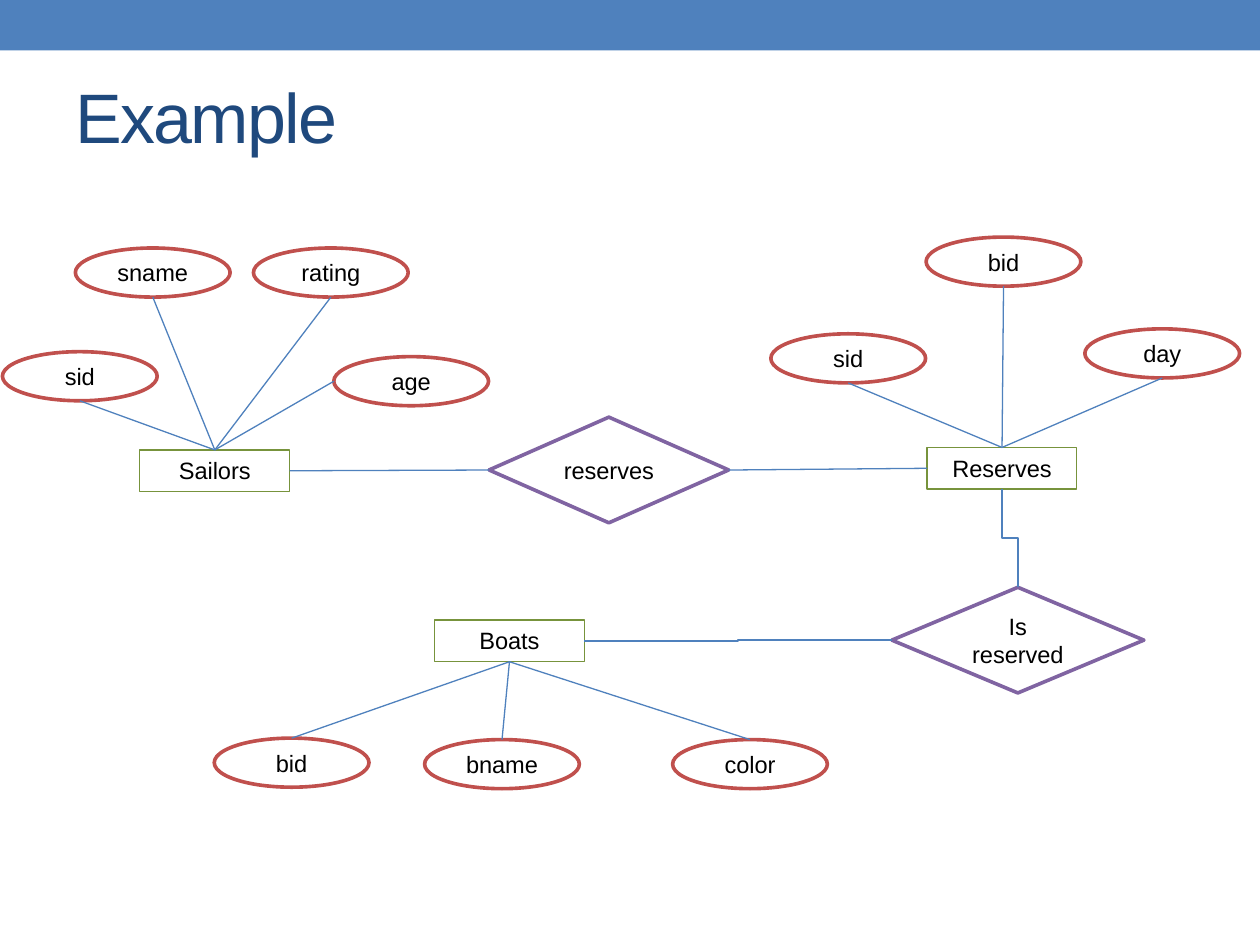
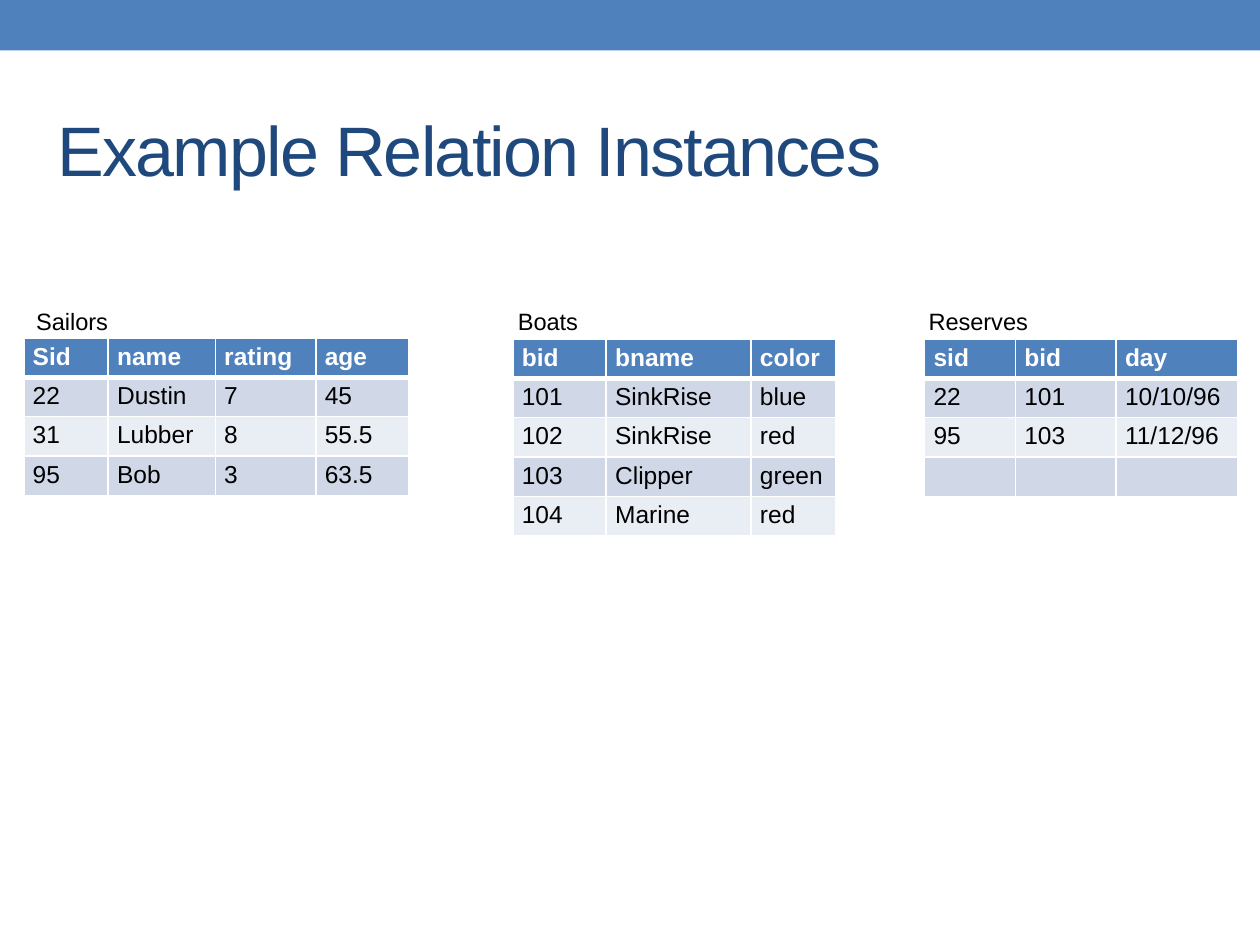
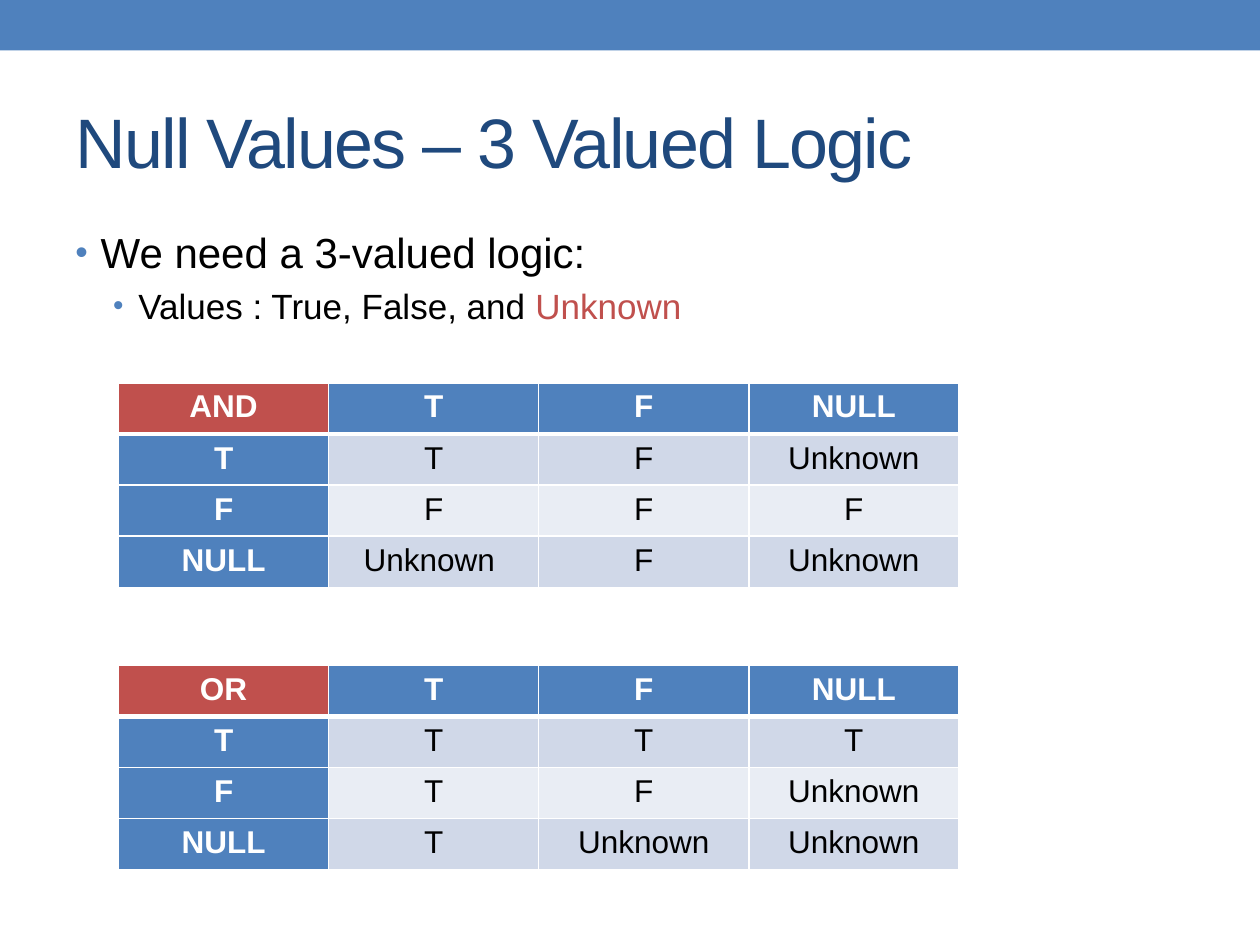
from dataclasses import dataclass

from lxml import etree
from pptx import Presentation
from pptx.dml.color import RGBColor
from pptx.enum.shapes import MSO_CONNECTOR, MSO_SHAPE
from pptx.enum.text import MSO_ANCHOR, MSO_AUTO_SIZE, PP_ALIGN
from pptx.oxml.ns import qn
from pptx.shapes.autoshape import Shape
from pptx.slide import Slide
from pptx.util import Cm, Pt

RECTANGLE, OVAL, DIAMOND = MSO_SHAPE.RECTANGLE, MSO_SHAPE.OVAL, MSO_SHAPE.DIAMOND
STRAIGHT, ELBOW = MSO_CONNECTOR.STRAIGHT, MSO_CONNECTOR.ELBOW
LEFT, CENTER = PP_ALIGN.LEFT, PP_ALIGN.CENTER
MIDDLE, ANCHOR_TOP = MSO_ANCHOR.MIDDLE, MSO_ANCHOR.TOP
FIT_SHAPE = MSO_AUTO_SIZE.SHAPE_TO_FIT_TEXT
TOP_SIDE, LEFT_SIDE, BOTTOM_SIDE, RIGHT_SIDE = range(4)

FONT = "Arial"
COLORS = {
    "blue": "4F81BD",
    "navy": "1F497D",
    "red": "C0504D",
    "green": "77933C",
    "purple": "8064A2",
    "odd_row": "D0D8E8",
    "even_row": "E9EDF4",
    "black": "000000",
    "white": "FFFFFF",
}
SLIDE_WIDTH, SLIDE_HEIGHT, BAND_HEIGHT = 25.4, 19.05, 1.02
TITLE_WIDTH = 22.86
LABEL_SIZE = 13.5


@dataclass(frozen=True)
class NodeKind:
    preset: int
    width: float
    height: float
    color: str
    line_width: float
    anchor: int


ENTITY = NodeKind(RECTANGLE, 3.02, 0.84, "green", 0.75, ANCHOR_TOP)
ATTRIBUTE = NodeKind(OVAL, 3.12, 0.99, "red", 2.08, MIDDLE)
RELATION = NodeKind(DIAMOND, 4.83, 2.13, "purple", 2.08, MIDDLE)
WIDE_RELATION = NodeKind(DIAMOND, 5.08, 2.13, "purple", 2.08, MIDDLE)


@dataclass(frozen=True)
class Node:
    key: str
    text: str
    kind: NodeKind
    left: float
    top: float


@dataclass(frozen=True)
class Link:
    start: str
    start_side: int
    end: str
    end_side: int
    bent: bool = False


@dataclass(frozen=True)
class Grid:
    left: float
    top: float
    columns: list[float]
    row_height: float
    rows: list[list[str]]
    size: float
    align: int = LEFT
    margins: tuple[float, float] = (0.25, 0.13)
    row_headers: bool = False


@dataclass(frozen=True)
class Relation:
    name: str
    label_left: float
    label_width: float
    grid: Grid


NODES = [
    Node("sailors", "Sailors", ENTITY, 2.82, 9.07),
    Node("reserves", "Reserves", ENTITY, 18.69, 9.02),
    Node("boats", "Boats", ENTITY, 8.76, 12.5),
    Node("sailor name", "sname", ATTRIBUTE, 1.52, 5),
    Node("sailor rating", "rating", ATTRIBUTE, 5.11, 5),
    Node("sailor id", "sid", ATTRIBUTE, 0.05, 7.09),
    Node("sailor age", "age", ATTRIBUTE, 6.73, 7.19),
    Node("boat color", "color", ATTRIBUTE, 13.56, 14.91),
    Node("reserved boat", "bid", ATTRIBUTE, 18.67, 4.78),
    Node("reserved day", "day", ATTRIBUTE, 21.87, 6.63),
    Node("boat id", "bid", ATTRIBUTE, 4.32, 14.88),
    Node("boat name", "bname", ATTRIBUTE, 8.56, 14.91),
    Node("reserving sailor", "sid", ATTRIBUTE, 15.54, 6.73),
    Node("sailor reserves", "reserves", RELATION, 9.86, 8.41),
    Node("is reserved", "Is reserved", WIDE_RELATION, 17.98, 11.84),
]

LINKS = [
    Link("sailor id", BOTTOM_SIDE, "sailors", TOP_SIDE),
    Link("sailor name", BOTTOM_SIDE, "sailors", TOP_SIDE),
    Link("sailor rating", BOTTOM_SIDE, "sailors", TOP_SIDE),
    Link("sailor age", LEFT_SIDE, "sailors", TOP_SIDE),
    Link("boats", BOTTOM_SIDE, "boat id", TOP_SIDE),
    Link("boats", BOTTOM_SIDE, "boat name", TOP_SIDE),
    Link("boats", BOTTOM_SIDE, "boat color", TOP_SIDE),
    Link("reserving sailor", BOTTOM_SIDE, "reserves", TOP_SIDE),
    Link("reserved boat", BOTTOM_SIDE, "reserves", TOP_SIDE),
    Link("reserved day", BOTTOM_SIDE, "reserves", TOP_SIDE),
    Link("sailors", RIGHT_SIDE, "sailor reserves", LEFT_SIDE),
    Link("sailor reserves", RIGHT_SIDE, "reserves", LEFT_SIDE),
    Link("boats", RIGHT_SIDE, "is reserved", LEFT_SIDE, bent=True),
    Link("is reserved", TOP_SIDE, "reserves", BOTTOM_SIDE, bent=True),
]


def instance_grid(left: float, top: float, columns: list[float], rows: list[list[str]]) -> Grid:
    return Grid(left, top, columns, 0.78, rows, 14, margins=(0.18, 0.1))


def logic_grid(top: float, rows: list[list[str]]) -> Grid:
    return Grid(2.39, top, [4.235] * 4, 1.03, rows, 18, CENTER, row_headers=True)


RELATIONS = [
    Relation("Sailors", 0.48, 1.98, instance_grid(0.48, 6.81, [1.7, 2.16, 2.03, 1.88], [
        ["Sid", "name", "rating", "age"],
        ["22", "Dustin", "7", "45"],
        ["31", "Lubber", "8", "55.5"],
        ["95", "Bob", "3", "63.5"],
    ])),
    Relation("Reserves", 18.47, 2.54, instance_grid(18.64, 6.83, [1.83, 2.03, 2.45], [
        ["sid", "bid", "day"],
        ["22", "101", "10/10/96"],
        ["95", "103", "11/12/96"],
        ["", "", ""],
    ])),
    Relation("Boats", 10.19, 1.75, instance_grid(10.34, 6.83, [1.88, 2.92, 1.7], [
        ["bid", "bname", "color"],
        ["101", "SinkRise", "blue"],
        ["102", "SinkRise", "red"],
        ["103", "Clipper", "green"],
        ["104", "Marine", "red"],
    ])),
]

TRUTH_TABLES = [
    logic_grid(7.72, [
        ["AND", "T", "F", "NULL"],
        ["T", "T", "F", "Unknown"],
        ["F", "F", "F", "F"],
        ["NULL", "Unknown ", "F", "Unknown"],
    ]),
    logic_grid(13.41, [
        ["OR", "T", "F", "NULL"],
        ["T", "T", "T", "T"],
        ["F", "T", "F", "Unknown"],
        ["NULL", "T", "Unknown", "Unknown"],
    ]),
]


def rgb(color: str) -> RGBColor:
    return RGBColor.from_string(COLORS[color])


def style_runs(paragraph, size: float, color: str = "black", bold: bool = False) -> None:
    for run in paragraph.runs:
        run.font.name = FONT
        run.font.size = Pt(size)
        run.font.bold = bold
        run.font.color.rgb = rgb(color)


def add_text(slide: Slide, text: str, left: float, top: float, width: float, height: float,
             size: float, color: str = "black", wrap: bool = True) -> Shape:
    box = slide.shapes.add_textbox(Cm(left), Cm(top), Cm(width), Cm(height))
    box.text_frame.text = text
    box.text_frame.word_wrap = wrap
    for paragraph in box.text_frame.paragraphs:
        style_runs(paragraph, size, color)
    return box


def add_titled_slide(deck, title: str, left: float, top: float, height: float) -> Slide:
    slide = deck.slides.add_slide(deck.slide_layouts[6])
    band = slide.shapes.add_shape(RECTANGLE, 0, 0, Cm(SLIDE_WIDTH), Cm(BAND_HEIGHT))
    band.shadow.inherit = False
    band.fill.solid()
    band.fill.fore_color.rgb = rgb("blue")
    band.line.fill.background()
    heading = add_text(slide, title, left, top, TITLE_WIDTH, height, 40, "navy")
    heading.text_frame.vertical_anchor = MIDDLE
    for run in heading.text_frame.paragraphs[0].runs:
        run._r.get_or_add_rPr().set("spc", "-100")
    return slide


def add_node(slide: Slide, node: Node) -> Shape:
    kind = node.kind
    shape = slide.shapes.add_shape(
        kind.preset, Cm(node.left), Cm(node.top), Cm(kind.width), Cm(kind.height))
    shape.shadow.inherit = False
    shape.fill.background()
    shape.line.color.rgb = rgb(kind.color)
    shape.line.width = Pt(kind.line_width)
    shape.text_frame.text = node.text
    shape.text_frame.word_wrap = True
    shape.text_frame.vertical_anchor = kind.anchor
    paragraph = shape.text_frame.paragraphs[0]
    paragraph.alignment = CENTER
    style_runs(paragraph, LABEL_SIZE)
    return shape


def side_middle(shape: Shape, side: int) -> tuple[int, int]:
    x_share, y_share = {TOP_SIDE: (1, 0), LEFT_SIDE: (0, 1),
                        BOTTOM_SIDE: (1, 2), RIGHT_SIDE: (2, 1)}[side]
    return shape.left + shape.width * x_share // 2, shape.top + shape.height * y_share // 2


def add_link(slide: Slide, link: Link, shapes: dict[str, Shape]) -> None:
    start, end = shapes[link.start], shapes[link.end]
    x1, y1 = side_middle(start, link.start_side)
    x2, y2 = side_middle(end, link.end_side)
    upright = link.bent and link.start_side == TOP_SIDE
    if upright:
        middle_x, middle_y = (x1 + x2) // 2, (y1 + y2) // 2
        half_run, half_rise = (y1 - y2) // 2, (x1 - x2) // 2
        x1, y1 = middle_x - half_run, middle_y + half_rise
        x2, y2 = middle_x + half_run, middle_y - half_rise
    connector = slide.shapes.add_connector(ELBOW if link.bent else STRAIGHT, x1, y1, x2, y2)
    connector.line.color.rgb = rgb("blue")
    connector.line.width = Pt(0.75)
    properties = connector._element.spPr
    etree.SubElement(properties, qn("a:effectLst"))
    if upright:
        properties.find(qn("a:xfrm")).set("rot", str(270 * 60000))
    if not link.bent:
        if start.auto_shape_type != OVAL:
            connector.begin_connect(start, link.start_side)
        if end.auto_shape_type != OVAL:
            connector.end_connect(end, link.end_side)


def add_borders(cell, row: int) -> None:
    properties = cell._tc.get_or_add_tcPr()
    widths = {"lnL": 1, "lnR": 1, "lnT": 3 if row == 1 else 1, "lnB": 3 if row == 0 else 1}
    for edge, width in widths.items():
        line = etree.SubElement(properties, qn(f"a:{edge}"), w=str(Pt(width)))
        fill = etree.SubElement(line, qn("a:solidFill"))
        etree.SubElement(fill, qn("a:srgbClr"), val=COLORS["white"])


def cell_fill(grid: Grid, row: int, column: int) -> str:
    if grid.row_headers and row == column == 0:
        return "red"
    if row == 0 or (grid.row_headers and column == 0):
        return "blue"
    return "odd_row" if row % 2 else "even_row"


def add_grid(slide: Slide, grid: Grid) -> None:
    table = slide.shapes.add_table(
        len(grid.rows), len(grid.columns), Cm(grid.left), Cm(grid.top),
        Cm(sum(grid.columns)), Cm(grid.row_height * len(grid.rows))).table
    for column, width in zip(table.columns, grid.columns):
        column.width = Cm(width)
    for row, texts in enumerate(grid.rows):
        table.rows[row].height = Cm(grid.row_height)
        for column, text in enumerate(texts):
            cell = table.cell(row, column)
            cell.margin_left = cell.margin_right = Cm(grid.margins[0])
            cell.margin_top = cell.margin_bottom = Cm(grid.margins[1])
            add_borders(cell, row)
            fill = cell_fill(grid, row, column)
            cell.fill.solid()
            cell.fill.fore_color.rgb = rgb(fill)
            cell.text_frame.text = text
            paragraph = cell.text_frame.paragraphs[0]
            paragraph.alignment = grid.align
            header = fill in ("red", "blue")
            style_runs(paragraph, grid.size, "white" if header else "black", header)
            if not text:
                etree.SubElement(paragraph._p, qn("a:endParaRPr"), sz=str(grid.size * 100))


def add_bullet(paragraph, indent: float, size: float) -> None:
    paragraph.space_before = Pt(size * 0.2)
    properties = paragraph._p.get_or_add_pPr()
    properties.set("marL", str(Cm(indent)))
    properties.set("indent", str(Cm(-0.51)))
    color = etree.SubElement(properties, qn("a:buClr"))
    etree.SubElement(color, qn("a:srgbClr"), val=COLORS["blue"])
    etree.SubElement(properties, qn("a:buSzPct"), val="85000")
    etree.SubElement(properties, qn("a:buFont"), typeface=FONT)
    etree.SubElement(properties, qn("a:buChar"), char="•")


def build_diagram(deck) -> None:
    slide = add_titled_slide(deck, "Example", 1.27, 1.3, 2.06)
    shapes = {node.key: add_node(slide, node) for node in NODES}
    for link in LINKS:
        add_link(slide, link, shapes)


def build_instances(deck) -> None:
    slide = add_titled_slide(deck, "Example Relation Instances", 0.91, 1.96, 2.06)
    for relation in RELATIONS:
        add_grid(slide, relation.grid)
        label = add_text(slide, relation.name, relation.label_left, 6.07,
                         relation.label_width, 0.84, LABEL_SIZE, wrap=False)
        label.text_frame.auto_size = FIT_SHAPE


def build_logic(deck) -> None:
    slide = add_titled_slide(deck, "Null Values – 3 Valued Logic", 1.27, 1.47, 2.74)
    body = add_text(slide, "We need a 3-valued logic:", 1.27, 4.45, TITLE_WIDTH, 13.54, 24)
    need = body.text_frame.paragraphs[0]
    add_bullet(need, 0.51, 24)
    values = body.text_frame.add_paragraph()
    values.text = "Values : True, False, and "
    values.level = 1
    unknown = values.add_run()
    unknown.text = "Unknown"
    style_runs(values, 20)
    unknown.font.color.rgb = rgb("red")
    add_bullet(values, 1.27, 20)
    for truth_table in TRUTH_TABLES:
        add_grid(slide, truth_table)


def main() -> None:
    deck = Presentation()
    deck.slide_width, deck.slide_height = Cm(SLIDE_WIDTH), Cm(SLIDE_HEIGHT)
    build_diagram(deck)
    build_instances(deck)
    build_logic(deck)
    deck.save("out.pptx")


if __name__ == "__main__":
    main()
